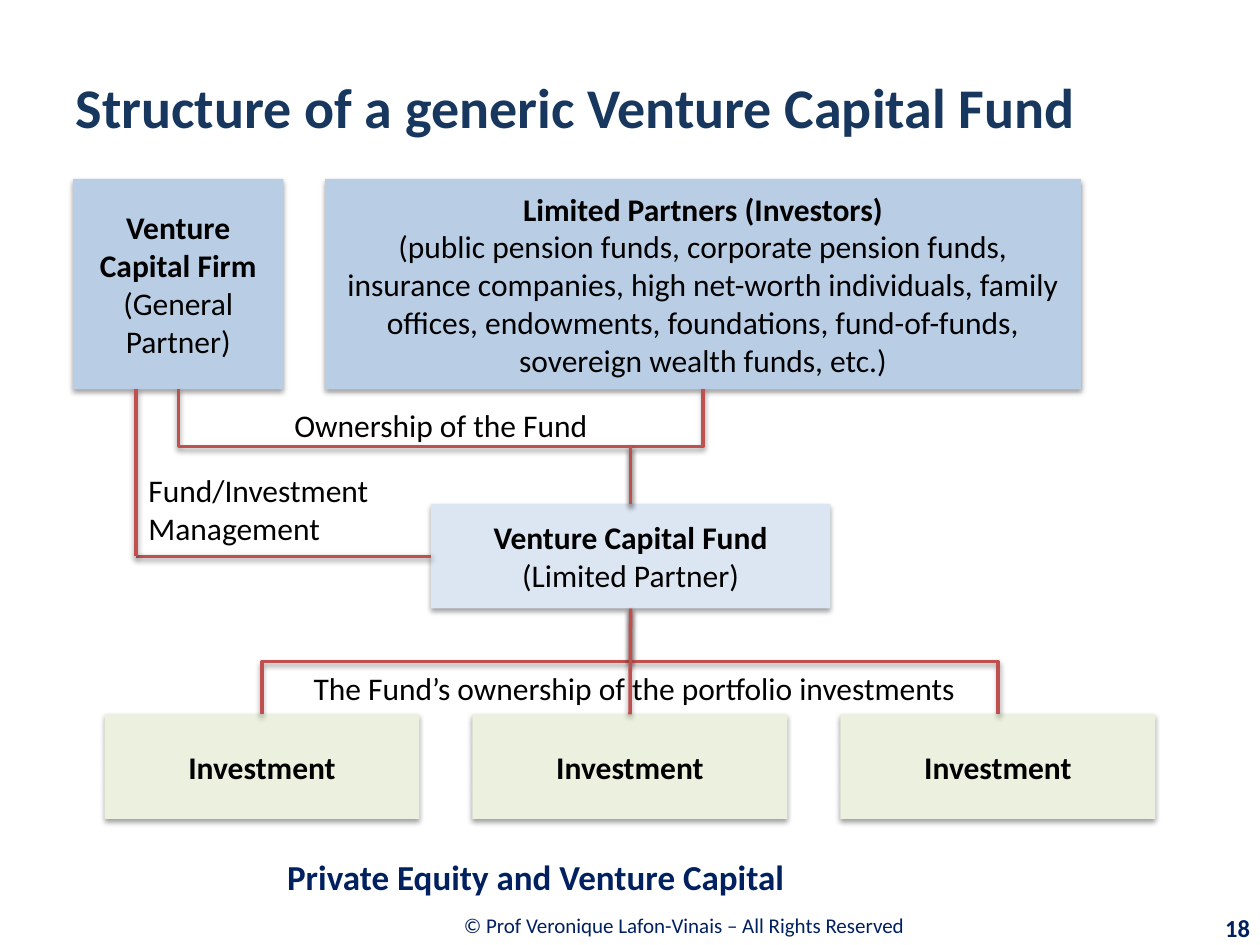
from lxml.etree import SubElement
from pptx import Presentation
from pptx.dml.color import RGBColor
from pptx.enum.shapes import MSO_CONNECTOR, MSO_SHAPE
from pptx.enum.text import MSO_ANCHOR, PP_ALIGN
from pptx.oxml.ns import qn
from pptx.util import Inches, Pt

THEME = {
    "font": "Calibri",
    "title": "17375E", "navy": "002060", "text": "000000",
    "partner": "B9CDE5", "fund": "DCE6F2", "investment": "EBF1DE",
    "line": "C0504D",
    "title_size": 32, "heading_size": 20, "body_size": 18,
    "number_size": 14, "footer_size": 12, "line_width": 2,
}
LEFT, CENTER, RIGHT = PP_ALIGN.LEFT, PP_ALIGN.CENTER, PP_ALIGN.RIGHT

TITLE = "Structure of a generic Venture Capital Fund"
# name: (bold heading, plain detail, fill, (left, top, width, height))
BOXES = {
    "firm": ("Venture Capital Firm", "(General Partner)", "partner",
             (0.58, 1.42, 1.67, 1.67)),
    "investors": ("Limited Partners (Investors)",
                  "(public pension funds, corporate pension funds, insurance "
                  "companies, high net-worth individuals, family offices, "
                  "endowments, foundations, fund-of-funds, sovereign wealth "
                  "funds, etc.)", "partner", (2.58, 1.42, 6, 1.67)),
    "fund": ("Venture Capital Fund", "(Limited Partner)", "fund",
             (3.42, 4, 3.17, 0.83)),
}
INVESTMENTS = ["Investment"] * 3
INVESTMENT_LEFT, INVESTMENT_STEP = 0.83, 2.92
INVESTMENT_TOP, INVESTMENT_W, INVESTMENT_H = 5.67, 2.5, 0.83
MANAGEMENT_X = 1.08

# text, place, alignment, size, colour, bold
LABELS = [
    ("Fund/Investment\nManagement", (1.08, 3.75, 2.2, 0.58), LEFT,
     "body_size", "text", False),
    ("Ownership of the Fund", (2.1, 3.08, 2.8, 0.58), CENTER,
     "body_size", "text", False),
    ("The Fund’s ownership of the portfolio investments",
     (2.39, 5.17, 5.5, 0.58), LEFT, "body_size", "text", False),
    ("Private Equity and Venture Capital", (2.18, 6.72, 7.82, 0.47), LEFT,
     "heading_size", "navy", True),
    ("© Prof Veronique Lafon-Vinais – All Rights Reserved",
     (2.19, 7.15, 6.48, 0.39), CENTER, "footer_size", "navy", False),
    ("18", (9.01, 7.2, 1.01, 0.32), RIGHT, "number_size", "navy", True),
]


def color(name):
    return RGBColor.from_string(THEME[name])


def write(shape, text, size, ink, align, bolds):
    """Fill a shape with one paragraph per line; bolds repeats its last value."""
    tf = shape.text_frame
    tf.text = text
    tf.word_wrap = True
    tf.vertical_anchor = MSO_ANCHOR.MIDDLE
    for i, p in enumerate(tf.paragraphs):
        p.alignment = align
        for r in p.runs:
            r.font.name = THEME["font"]
            r.font.size = Pt(THEME[size])
            r.font.bold = bolds[min(i, len(bolds) - 1)]
            r.font.color.rgb = color(ink)


def add_shadow(shape):
    effects = SubElement(shape._element.spPr, qn("a:effectLst"))
    shadow = SubElement(effects, qn("a:outerShdw"), blurRad="40000",
                        dist="20000", dir="5400000", rotWithShape="0")
    ink = SubElement(shadow, qn("a:srgbClr"), val="000000")
    SubElement(ink, qn("a:alpha"), val="38000")


def add_box(s, heading, detail, fill, place):
    box = s.shapes.add_shape(MSO_SHAPE.RECTANGLE, *map(Inches, place))
    box.fill.solid()
    box.fill.fore_color.rgb = color(fill)
    box.line.fill.background()
    add_shadow(box)
    text = f"{heading}\n{detail}" if detail else heading
    write(box, text, "body_size", "text", CENTER, (True, False))
    return box


def add_line(s, start, end, kind=MSO_CONNECTOR.STRAIGHT):
    line = s.shapes.add_connector(kind, *start, *end)
    line.line.color.rgb = color("line")
    line.line.width = Pt(THEME["line_width"])
    add_shadow(line)
    return line


def add_elbow(s, start, end):
    """Run down, across and down again: a turned elbow connector."""
    (x1, y1), (x2, y2) = start, end
    elbow = add_line(s, start, end, MSO_CONNECTOR.ELBOW)
    w, h = y2 - y1, abs(x2 - x1)
    elbow.left, elbow.top = (x1 + x2 - w) // 2, (y1 + y2 - h) // 2
    elbow.width, elbow.height = w, h
    xfrm = elbow._element.spPr.find(qn("a:xfrm"))
    to_right = x2 > x1
    xfrm.set("rot", str((270 if to_right else 90) * 60000))
    xfrm.set("flipH", "1" if to_right else "0")


def top(box):
    return box.left + box.width // 2, box.top


def bottom(box):
    return box.left + box.width // 2, box.top + box.height


def main():
    prs = Presentation()
    prs.slide_width, prs.slide_height = Inches(10), Inches(7.5)
    s = prs.slides.add_slide(prs.slide_layouts[5])

    title = s.shapes.title
    title.left, title.top, title.width, title.height = map(
        Inches, (0.5, 0.13, 8.25, 1.42))
    write(title, TITLE, "title_size", "title", LEFT, (True,))

    boxes = {name: add_box(s, *box) for name, box in BOXES.items()}
    firm, investors, fund = boxes.values()
    investments = [
        add_box(s, name, "", "investment",
                (INVESTMENT_LEFT + i * INVESTMENT_STEP, INVESTMENT_TOP,
                 INVESTMENT_W, INVESTMENT_H))
        for i, name in enumerate(INVESTMENTS)]

    for owner in (investors, firm):
        add_elbow(s, bottom(owner), top(fund))
    first, middle, last = investments
    for investment in (first, last):
        add_elbow(s, bottom(fund), top(investment))
    stem = add_line(s, bottom(fund), top(middle))
    stem.begin_connect(fund, 2)
    stem.end_connect(middle, 0)

    corner = Inches(MANAGEMENT_X), fund.top + fund.height // 2
    management = add_line(s, (fund.left, corner[1]), corner)
    management.begin_connect(fund, 1)
    add_line(s, corner, (corner[0], bottom(firm)[1]))

    for text, place, align, size, ink, bold in LABELS:
        label = s.shapes.add_textbox(*map(Inches, place))
        write(label, text, size, ink, align, (bold,))

    prs.save("out.pptx")


if __name__ == "__main__":
    main()
